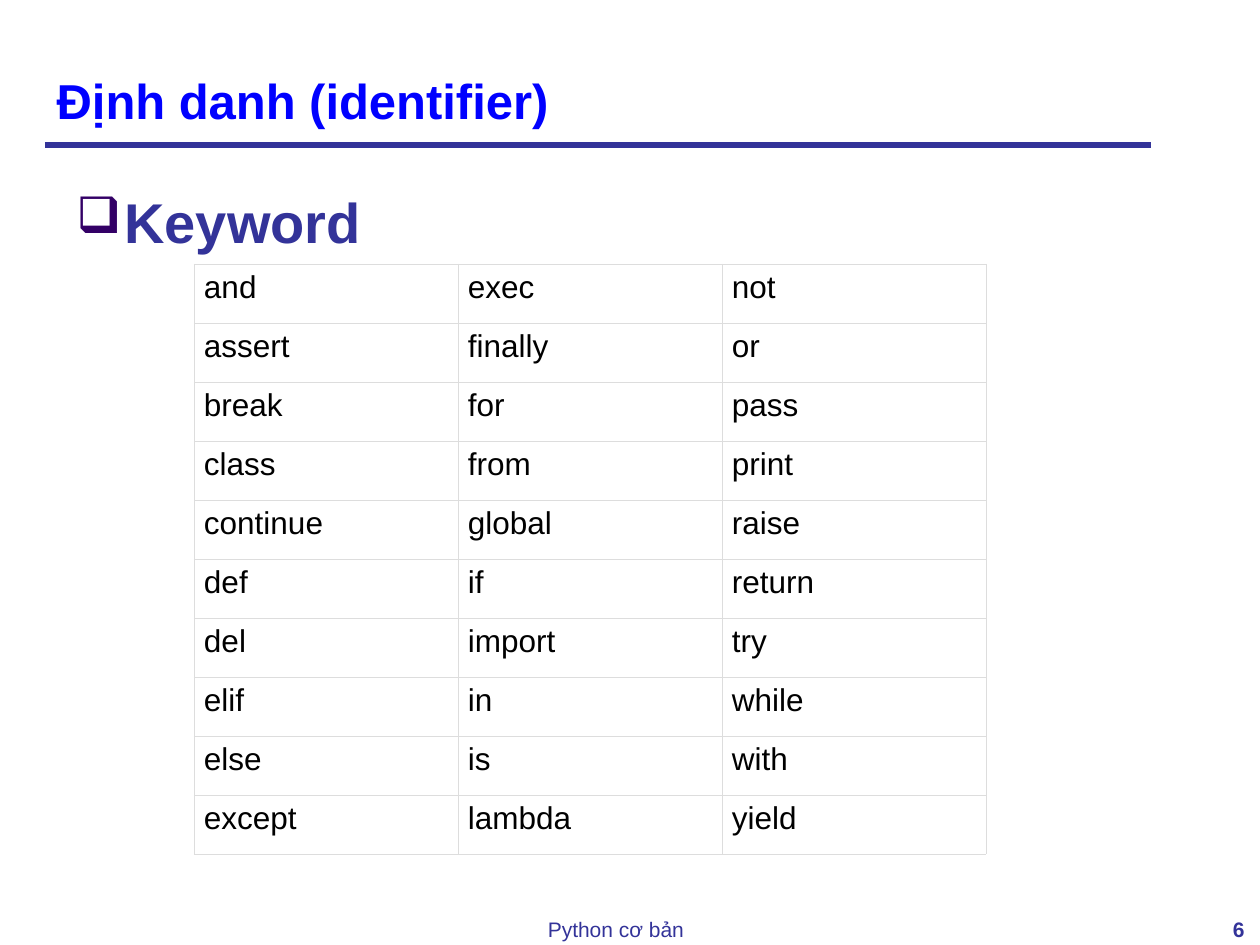
from lxml.etree import SubElement
from pptx import Presentation
from pptx.dml.color import RGBColor
from pptx.enum.shapes import MSO_CONNECTOR as Connector
from pptx.enum.text import MSO_ANCHOR as Anchor, PP_ALIGN as Align
from pptx.oxml.ns import qn
from pptx.util import Pt

COLORS = {"title": "0000FF", "accent": "333399", "bullet": "330066",
          "cell": "000000", "border": "DDDDDD"}
KEYWORDS = [
    "and assert break class continue def del elif else except".split(),
    "exec finally for from global if import in is lambda".split(),
    "not or pass print raise return try while with yield".split(),
]


def px(length):
    return round(length * 914400 / 126)


def style(para, size, color, bold=False, align=Align.LEFT):
    para.alignment = align
    para.font.name = "Arial"
    para.font.size = Pt(size)
    para.font.bold = bold
    para.font.color.rgb = RGBColor.from_string(COLORS[color])


deck = Presentation()
deck.slide_width, deck.slide_height = px(1260), px(945)
page = deck.slides.add_slide(deck.slide_layouts[5])

# Rule under the title
rule = page.shapes.add_connector(Connector.STRAIGHT, px(45), px(145), px(1151), px(145))
rule.line.color.rgb = RGBColor.from_string(COLORS["accent"])
rule.line.width = Pt(3)
SubElement(rule._element.spPr, qn("a:effectLst"))

# Title
title = page.shapes.title
title.left, title.top, title.width, title.height = px(44), px(26), px(1091), px(110)
title.text_frame.text = "Định danh (identifier)"
title.text_frame.vertical_anchor = Anchor.BOTTOM
style(title.text_frame.paragraphs[0], 28, "title", bold=True)

# Heading and footer texts
texts = [
    ("Keyword", 64, 165, 1091, 714, 32, True, Align.LEFT),
    ("Python cơ bản", 95, 910, 1042, 30, 12, False, Align.CENTER),
    ("6", 1157, 910, 100, 30, 12, True, Align.RIGHT),
]
for text, left, top, width, height, size, bold, align in texts:
    box = page.shapes.add_textbox(px(left), px(top), px(width), px(height))
    box.text_frame.word_wrap = True
    para = box.text_frame.paragraphs[0]
    para.text = text
    if text == "Keyword":
        para.line_spacing = 1.25
        props = para._p.get_or_add_pPr()
        props.set("marL", str(px(48)))
        props.set("indent", str(-px(48)))
        bullet_color = SubElement(props, qn("a:buClr"))
        SubElement(bullet_color, qn("a:srgbClr"), val=COLORS["bullet"])
        SubElement(props, qn("a:buSzPct"), val="90000")
        SubElement(props, qn("a:buChar"), char="❑")
    style(para, size, "accent", bold, align)

# Keyword table
row_count, column_count = len(KEYWORDS[0]), len(KEYWORDS)
table = page.shapes.add_table(row_count, column_count, px(194), px(264),
                              px(264 * column_count), px(59 * row_count)).table
table.first_row = table.horz_banding = False
for row in table.rows:
    row.height = px(59)
for column, words in enumerate(KEYWORDS):
    table.columns[column].width = px(264)
    for row, word in enumerate(words):
        cell = table.cell(row, column)
        cell.text = word
        cell.margin_left = cell.margin_right = px(10)
        cell.margin_top = cell.margin_bottom = px(6)
        style(cell.text_frame.paragraphs[0], 18, "cell")
        cell_props = cell._tc.get_or_add_tcPr()
        for side in ("lnL", "lnR", "lnT", "lnB"):
            border = SubElement(cell_props, qn(f"a:{side}"), w=str(Pt(0.34)))
            border_fill = SubElement(border, qn("a:solidFill"))
            SubElement(border_fill, qn("a:srgbClr"), val=COLORS["border"])
        cell.fill.background()

deck.save("out.pptx")
